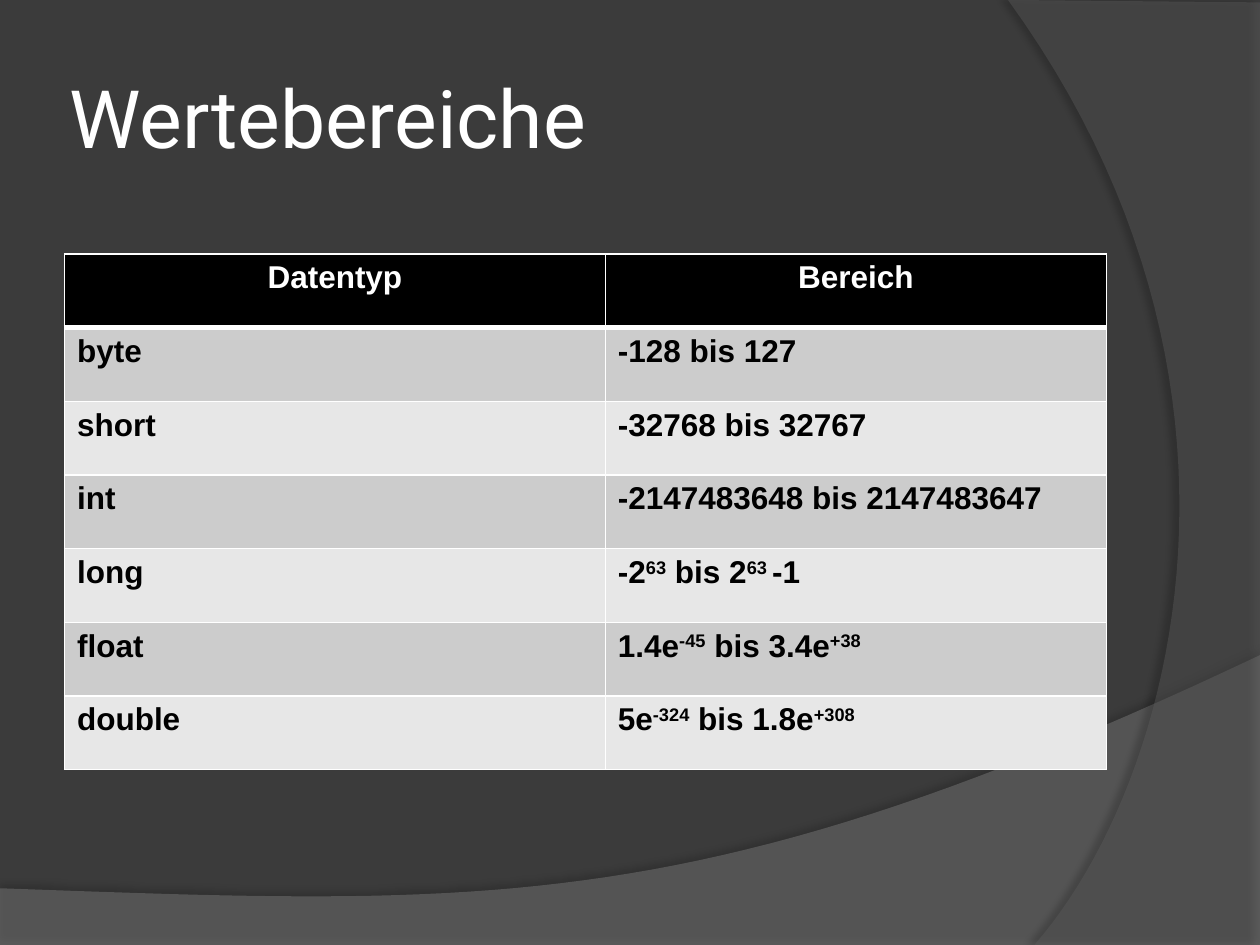
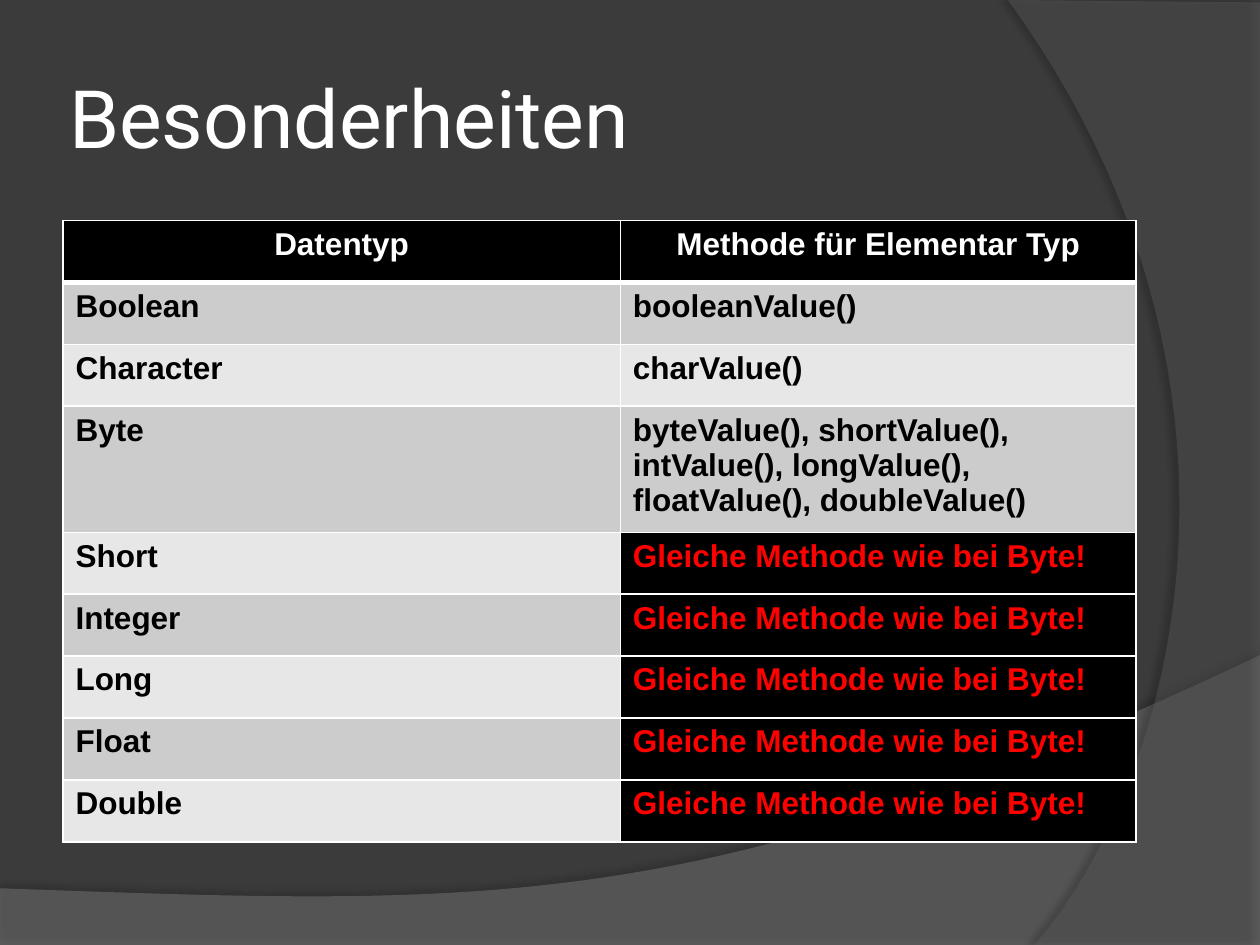
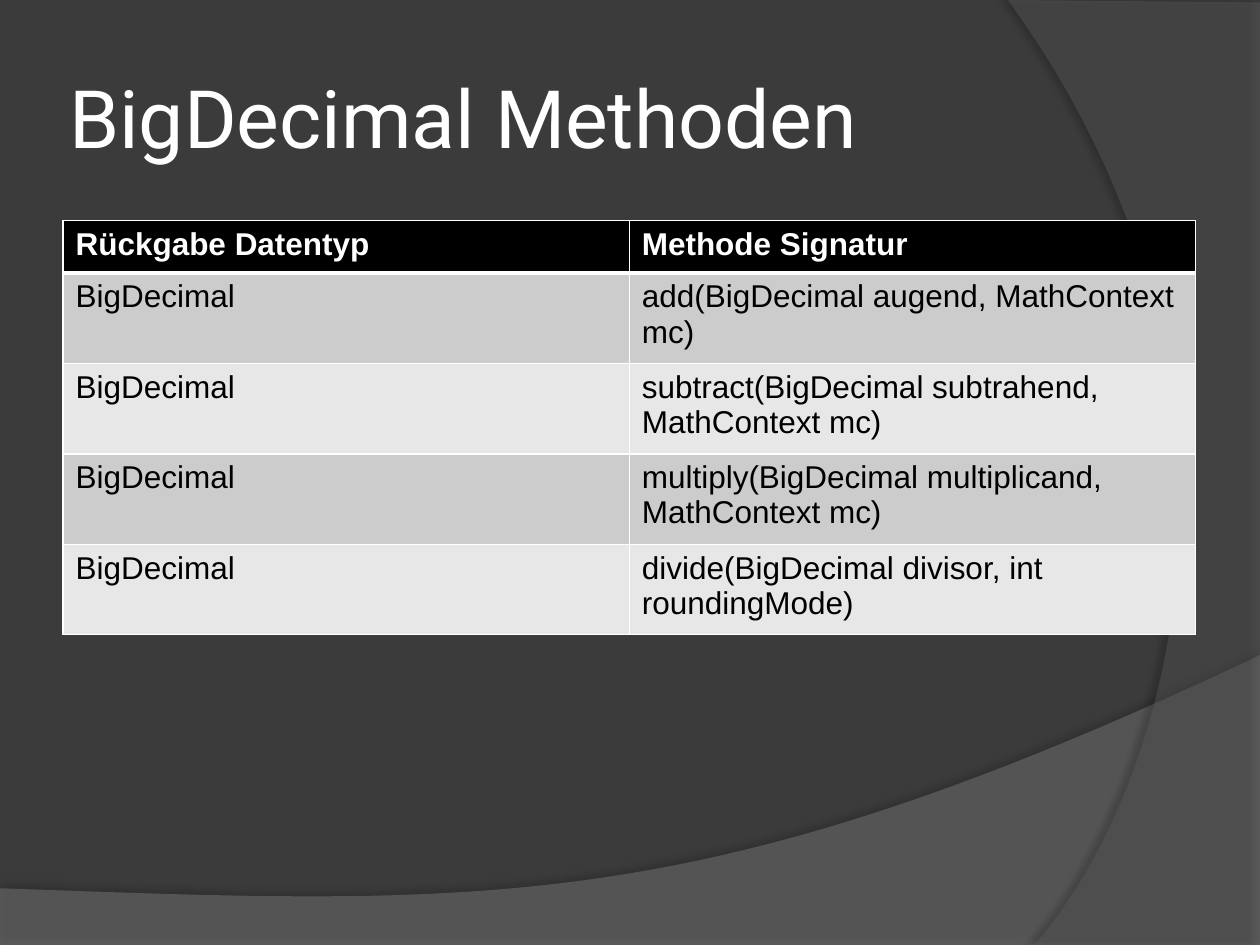
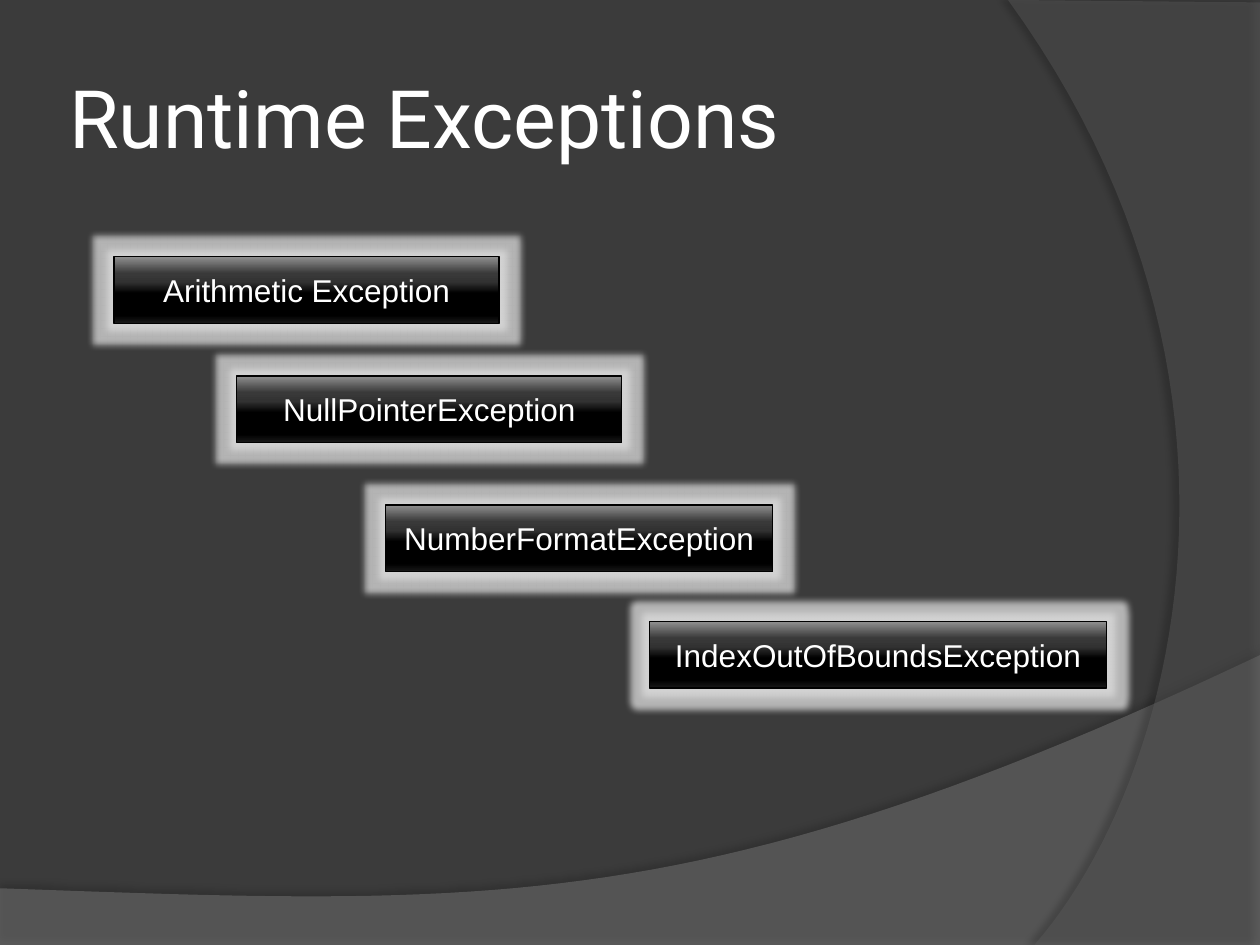
"""Build four slides on Java number types, their methods and exceptions."""
from lxml import etree
from pptx import Presentation
from pptx.dml.color import RGBColor
from pptx.enum.shapes import MSO_SHAPE
from pptx.enum.text import MSO_ANCHOR, PP_ALIGN
from pptx.oxml import parse_xml
from pptx.oxml.ns import nsdecls, qn
from pptx.util import Pt

RECT = MSO_SHAPE.RECTANGLE
MIDDLE = MSO_ANCHOR.MIDDLE
LEFT, CENTER = PP_ALIGN.LEFT, PP_ALIGN.CENTER

DARK = RGBColor(0x3B, 0x3B, 0x3B)
WAVE = RGBColor(0x7F, 0x7F, 0x7F)
ARC = RGBColor(0x5E, 0x5E, 0x5E)
WHITE = RGBColor(0xFF, 0xFF, 0xFF)
BLACK = RGBColor(0, 0, 0)
RED = RGBColor(0xFF, 0, 0)
GLOW = RGBColor(0xDD, 0xDD, 0xDD)
BANDS = RGBColor(0xCC, 0xCC, 0xCC), RGBColor(0xE7, 0xE7, 0xE7)
GLOSS = [
    (0, RGBColor(0x90, 0x90, 0x90)), (25, RGBColor(0x39, 0x39, 0x39)),
    (38, RGBColor(0x32, 0x32, 0x32)), (55, BLACK), (80, BLACK), (88, BLACK),
    (100, RGBColor(0x18, 0x18, 0x18)),
]

WIDTH, HEIGHT = 720, 540
TITLE_FONT, BODY_FONT = "Roboto", "Arial"
SAME = "Gleiche Methode wie bei Byte!"

RANGES = [
    ("Datentyp", "Bereich"),
    ("byte", "-128 bis 127"),
    ("short", "-32768 bis 32767"),
    ("int", "-2147483648 bis 2147483647"),
    ("long", "-2^63^ bis 2^63 ^-1"),
    ("float", "1.4e^-45^ bis 3.4e^+38^"),
    ("double", "5e^-324^ bis 1.8e^+308^"),
]
GETTERS = [
    ("Datentyp", "Methode für Elementar Typ"),
    ("Boolean", "booleanValue()"),
    ("Character", "charValue()"),
    ("Byte", "byteValue(), shortValue(),\n"
             "intValue(), longValue(), floatValue(), doubleValue()"),
] + [(kind, SAME) for kind in ("Short", "Integer", "Long", "Float", "Double")]
MATH = [("Rückgabe Datentyp", "Methode Signatur")] + [
    ("BigDecimal", call) for call in (
        "add(BigDecimal augend, MathContext mc)",
        "subtract(BigDecimal subtrahend, MathContext mc)",
        "multiply(BigDecimal multiplicand, MathContext mc)",
        "divide(BigDecimal divisor, int roundingMode)",
    )
]
ERRORS = [
    ("Arithmetic Exception", 65.2, 146.7, 220),
    ("NullPointerException", 135.3, 214.8, 220),
    ("NumberFormatException", 220.5, 288.6, 221),
    ("IndexOutOfBoundsException", 371.3, 355.2, 261),
]


def write(frame, text, size=18, font=BODY_FONT, color=WHITE, bold=False,
          align=LEFT):
    """Fill a text frame; newlines split paragraphs, ^ marks raise text."""
    for row, line in enumerate(text.split("\n")):
        para = frame.add_paragraph() if row else frame.paragraphs[0]
        para.alignment = align
        for part, piece in enumerate(line.split("^")):
            if not piece:
                continue
            run = para.add_run()
            run.text = piece
            run.font.size, run.font.name = Pt(size), font
            run.font.bold = bold
            run.font.color.rgb = color
            if part % 2:
                run._r.get_or_add_rPr().set("baseline", "30000")


def tint(parent, color, alpha=100):
    """Append a colour with its opacity in percent to an XML element."""
    node = etree.SubElement(parent, qn("a:srgbClr"), val=str(color))
    if alpha < 100:
        etree.SubElement(node, qn("a:alpha"), val=str(alpha * 1000))


def effect(shape, tag, color, alpha, **attrs):
    """Give a shape a single glow or shadow."""
    shape.shadow.inherit = False
    parent = shape._element.spPr.find(qn("a:effectLst"))
    values = {key: str(value) for key, value in attrs.items()}
    tint(etree.SubElement(parent, qn(tag), values), color, alpha)


def bezier(start, one, two, end, steps=48):
    """Return points along a cubic curve, without its start."""
    points = []
    for step in range(1, steps + 1):
        t = step / steps
        u = 1 - t
        points.append(tuple(
            u ** 3 * a + 3 * u * u * t * b + 3 * u * t * t * c + t ** 3 * d
            for a, b, c, d in zip(start, one, two, end)))
    return points


def sweep(slide, points, color, alpha, shade, blur, dist, angle):
    """Draw a translucent curved area with a soft shadow."""
    first, *rest = [(Pt(x), Pt(y)) for x, y in points]
    pen = slide.shapes.build_freeform(*first)
    pen.add_line_segments(rest, close=True)
    shape = pen.convert_to_shape()
    shape.fill.solid()
    shape.fill.fore_color.rgb = color
    node = shape._element.spPr.find(qn("a:solidFill"))
    node.clear()
    tint(node, color, alpha)
    shape.line.fill.background()
    effect(shape, "a:outerShdw", BLACK, shade, blurRad=Pt(blur),
           dist=Pt(dist), dir=angle * 60000, algn="ctr", rotWithShape=0)


def new_slide(deck, title):
    """Add a slide with the shared sweeps and a title."""
    slide = deck.slides.add_slide(deck.slide_layouts[6])
    low, high = (WIDTH, 374.4), (0, 507.6)
    sweep(slide, [high, (0, HEIGHT), (WIDTH, HEIGHT), low]
          + bezier(low, (402.5, 524.9), (281.5, 517.7), high),
          WAVE, 45, 35, 4, 3.5, 270)
    foot, top = (591.1, HEIGHT), (576, 0)
    sweep(slide, [(WIDTH, 1.4), (WIDTH, HEIGHT), foot]
          + bezier(foot, (673.2, 445.7), (733, 216), top),
          ARC, 40, 45, 4, 4, 180)
    frame = slide.shapes.add_textbox(
        Pt(36), Pt(21.6), Pt(588), Pt(90)).text_frame
    frame.word_wrap = True
    frame.vertical_anchor = MIDDLE
    frame.margin_left = frame.margin_right = Pt(3.6)
    write(frame, title, size=46, font=TITLE_FONT)
    return slide


def border(cell, **sides):
    """Draw white cell borders of the given widths."""
    props = cell._tc.get_or_add_tcPr()
    for index, (side, width) in enumerate(sides.items()):
        line = parse_xml(f'<a:ln{side} {nsdecls("a")} w="{Pt(width)}"/>')
        tint(etree.SubElement(line, qn("a:solidFill")), WHITE)
        props.insert(index, line)


def grid(slide, rows, left, top, cols, heights, align=CENTER, bold=True):
    """Add a banded table with a black header row."""
    table = slide.shapes.add_table(
        len(rows), len(cols), Pt(left), Pt(top),
        Pt(sum(cols)), Pt(sum(heights))).table
    table.horz_banding = False
    for col, width in zip(table.columns, cols):
        col.width = Pt(width)
    for r, (row, height) in enumerate(zip(rows, heights)):
        table.rows[r].height = Pt(height)
        for c, text in enumerate(row):
            cell = table.cell(r, c)
            head, same = r == 0, text == SAME
            cell.fill.solid()
            cell.fill.fore_color.rgb = (
                BLACK if head or same else BANDS[(r - 1) % 2])
            border(cell, L=1, R=1, T=3 if r == 1 else 1, B=3 if head else 1)
            write(cell.text_frame, text, bold=bold or head,
                  color=WHITE if head else RED if same else BLACK,
                  align=align if head else LEFT)


def plate(slide, text, left, top, width):
    """Add a glossy black box with a pale glow."""
    shape = slide.shapes.add_shape(RECT, Pt(left), Pt(top), Pt(width), Pt(38))
    shape.fill.gradient()
    shape.fill.gradient_angle = 270
    stops = shape._element.spPr.find(qn("a:gradFill")).find(qn("a:gsLst"))
    stops.clear()
    for place, color in GLOSS:
        tint(etree.SubElement(stops, qn("a:gs"), pos=str(place * 1000)), color)
    shape.line.color.rgb = BLACK
    shape.line.width = Pt(0.75)
    effect(shape, "a:glow", GLOW, 75, rad=Pt(8))
    shape.text_frame.word_wrap = True
    shape.text_frame.vertical_anchor = MIDDLE
    write(shape.text_frame, text, align=CENTER)


def main():
    """Build and save the slides."""
    deck = Presentation()
    deck.slide_width, deck.slide_height = Pt(WIDTH), Pt(HEIGHT)
    back = deck.slide_master.background.fill
    back.solid()
    back.fore_color.rgb = DARK

    grid(new_slide(deck, "Wertebereiche"), RANGES,
         36.9, 145.2, (309, 286.3), [42.1] * len(RANGES))
    grid(new_slide(deck, "Besonderheiten"), GETTERS,
         36, 126, (318.5, 294.8), [35.4] * len(GETTERS))
    grid(new_slide(deck, "BigDecimal Methoden"), MATH,
         36, 126, (323.6, 323.6), [30] + [51.7] * (len(MATH) - 1),
         align=LEFT, bold=False)

    slide = new_slide(deck, "Runtime Exceptions")
    for error in ERRORS:
        plate(slide, *error)
    deck.save("out.pptx")


if __name__ == "__main__":
    main()
